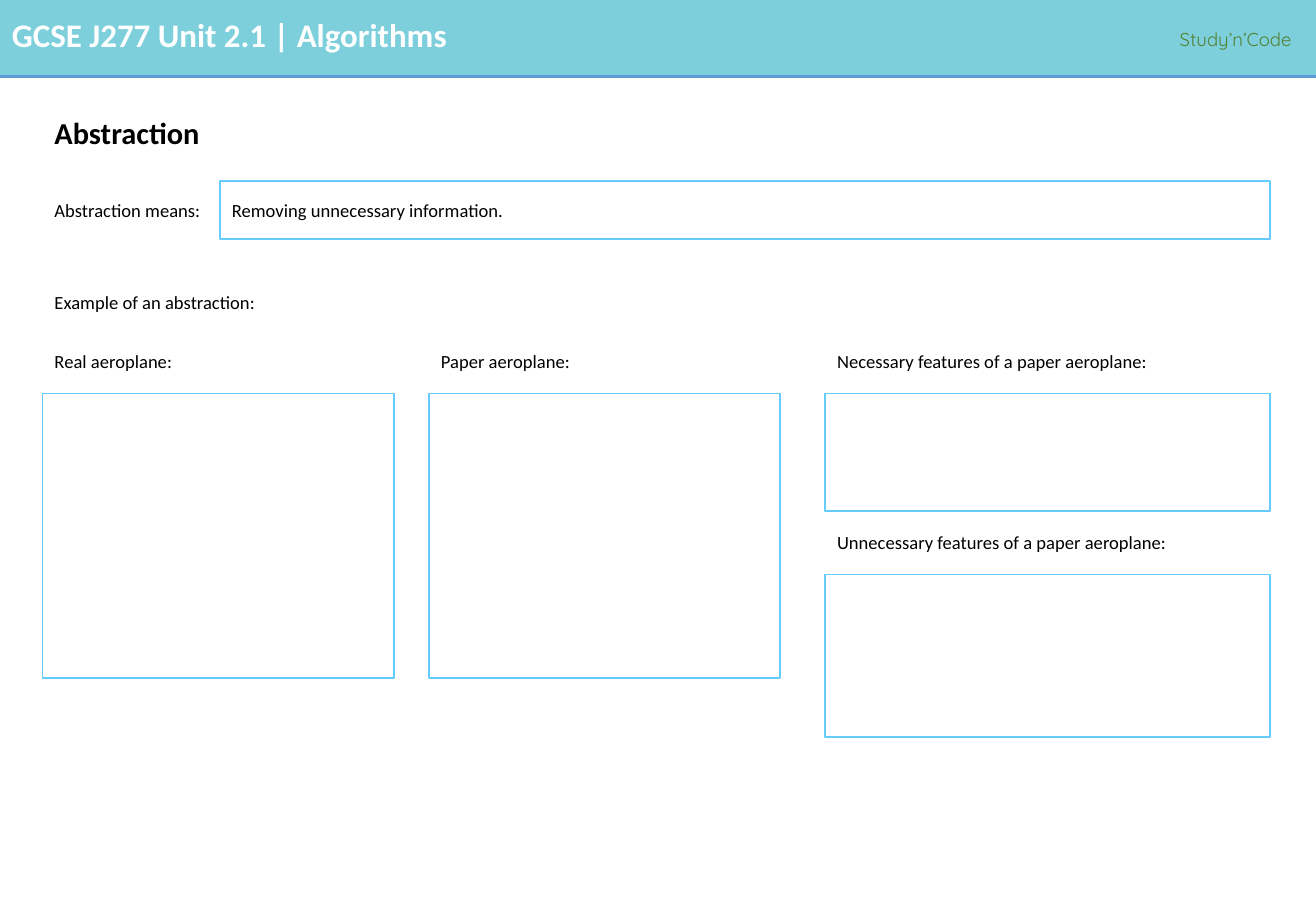
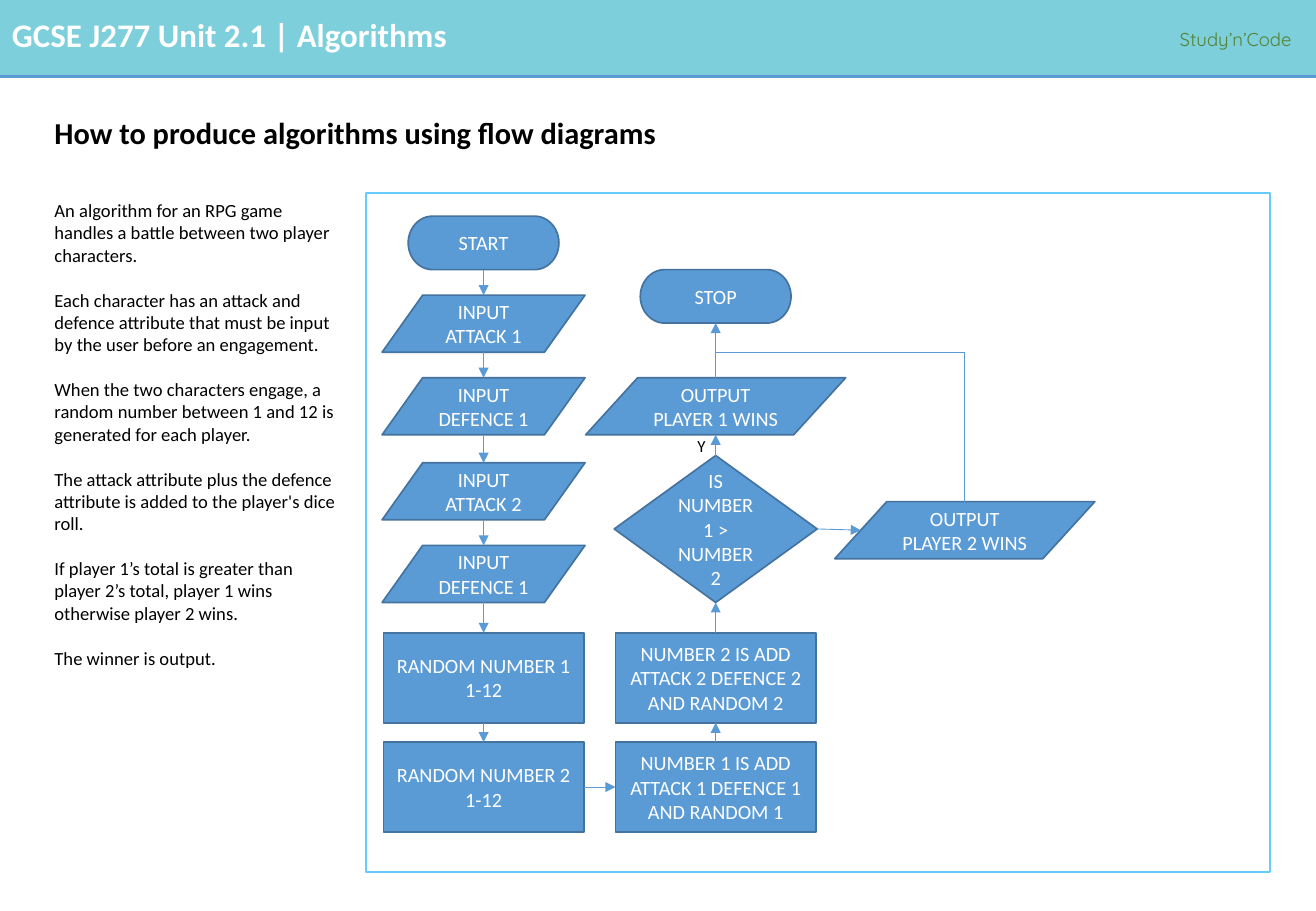
import pptx
import pptx.util
import pptx.dml.color
import pptx.enum.shapes
import pptx.enum.text
import pptx.oxml
import pptx.oxml.ns
from dataclasses import dataclass

Inches, Pt = pptx.util.Inches, pptx.util.Pt
SHAPE = pptx.enum.shapes.MSO_SHAPE
ALIGN = pptx.enum.text.PP_ALIGN
ANCHOR = pptx.enum.text.MSO_ANCHOR


@dataclass(frozen=True)
class Theme:
    band: str = "7CCFDB"
    accent: str = "5B9BD5"
    outline: str = "43739E"
    frame: str = "66CCFF"
    credit: str = "548235"
    dark: str = "000000"
    light: str = "FFFFFF"
    font: str = "Calibri"
    credit_font: str = "Quicksand"
    header: float = 19.5
    title: float = 18
    node: float = 12
    body: float = 11
    small: float = 10


T = Theme()

# Content shared by the slides
WIDTH, HEIGHT = 10.83, 7.5
LEFT, RIGHT = 0.35, 10.45
BAND_HEIGHT = 0.63
HEADER = "GCSE J277 Unit 2.1 | Algorithms"
CREDIT = "Study’n’Code"

# Content of the abstraction slide
ABSTRACTION_TITLE = "Abstraction"
MEANS = ("Abstraction means:", "Removing unnecessary information.")
EXAMPLE = "Example of an abstraction:"
LABEL_HEIGHT, LABEL_RISE = 0.29, 0.41
ANSWERS = [  # label, left, top, width, height of the answer frame
    ("Real aeroplane:", LEFT, 3.24, 2.89, 2.34),
    ("Paper aeroplane:", 3.53, 3.24, 2.89, 2.34),
    ("Necessary features of a paper aeroplane:", 6.79, 3.24, 3.66, 0.97),
    ("Unnecessary features of a paper aeroplane:", 6.79, 4.73, 3.66, 1.34),
]

# Content of the flow diagram slide
FLOW_TITLE = "How to produce algorithms using flow diagrams"
STORY = [
    "An algorithm for an RPG game handles a battle between two player characters.",
    "Each character has an attack and defence attribute that must be input by the "
    "user before an engagement.",
    "When the two characters engage, a random number between 1 and 12 is generated "
    "for each player.",
    "The attack attribute plus the defence attribute is added to the player's dice roll.",
    "If player 1’s total is greater than player 2’s total, player 1 wins otherwise "
    "player 2 wins.",
    "The winner is output.",
]
KINDS = {  # preset, width, height
    "end": (SHAPE.FLOWCHART_TERMINATOR, 1.24, 0.44),
    "input": (SHAPE.FLOWCHART_DATA, 1.67, 0.47),
    "output": (SHAPE.FLOWCHART_DATA, 2.14, 0.47),
    "process": (SHAPE.FLOWCHART_PROCESS, 1.65, 0.74),
    "decision": (SHAPE.FLOWCHART_DECISION, 1.67, 1.21),
}
COLUMNS = (3.98, 5.89, 7.94)  # centres
NODES = {  # kind, column, top, text
    "start": ("end", 0, 1.78, "START"),
    "attack 1": ("input", 0, 2.43, "INPUT ATTACK 1"),
    "defence 1": ("input", 0, 3.11, "INPUT DEFENCE 1"),
    "attack 2": ("input", 0, 3.81, "INPUT ATTACK 2"),
    "defence 2": ("input", 0, 4.49, "INPUT DEFENCE 1"),
    "random 1": ("process", 0, 5.21, "RANDOM NUMBER 1 1-12"),
    "random 2": ("process", 0, 6.11, "RANDOM NUMBER 2 1-12"),
    "number 1": ("process", 1, 6.11, "NUMBER 1 IS ADD ATTACK 1 DEFENCE 1 AND RANDOM 1"),
    "number 2": ("process", 1, 5.21, "NUMBER 2 IS ADD ATTACK 2 DEFENCE 2 AND RANDOM 2"),
    "compare": ("decision", 1, 3.75, "IS NUMBER 1 > NUMBER 2"),
    "player 1": ("output", 1, 3.11, "OUTPUT\nPLAYER 1 WINS"),
    "stop": ("end", 1, 2.22, "STOP"),
    "player 2": ("output", 2, 4.13, "OUTPUT\nPLAYER 2 WINS"),
}
TOP, WEST, BOTTOM, EAST = range(4)
MAIN_PATH = list(NODES)[:-1]
TURN = ("random 2", "number 1")  # the step from the first column to the second
MERGE_Y = 2.9


# Helpers
def rgb(value):
    return pptx.dml.color.RGBColor.from_string(value)


def write(tf, paragraphs, size=T.body, color=T.dark, font=T.font, bold=False,
          align=ALIGN.LEFT, anchor=ANCHOR.TOP, line=None, before=0, wrap=True):
    tf.word_wrap = wrap
    tf.vertical_anchor = anchor
    for i, content in enumerate(paragraphs):
        p = tf.add_paragraph() if i else tf.paragraphs[0]
        p.text = content
        p.alignment = align
        if line:
            p.line_spacing = line
        if i and before:
            p.space_before = Pt(before)
        for r in p.runs:
            f = r.font
            f.name, f.size, f.bold = font, Pt(size), bold
            f.color.rgb = rgb(color)


def add_text(s, at, *paragraphs, **style):
    tb = s.shapes.add_textbox(*map(Inches, at))
    write(tb.text_frame, paragraphs, **style)


def add_box(s, at, preset=SHAPE.RECTANGLE, fill=None, line=None):
    sp = s.shapes.add_shape(preset, *map(Inches, at))
    sp.shadow.inherit = False
    if fill:
        sp.fill.solid()
        sp.fill.fore_color.rgb = rgb(fill)
    else:
        sp.fill.background()
    if line:
        sp.line.color.rgb = rgb(line)
        sp.line.width = Pt(1)
    else:
        sp.line.fill.background()
    return sp


def add_line(s, start, end, width=0.5, arrow=False):
    cx = s.shapes.add_connector(pptx.enum.shapes.MSO_CONNECTOR.STRAIGHT,
                                *map(Inches, (*start, *end)))
    cx.line.color.rgb = rgb(T.accent)
    cx.line.width = Pt(width)
    if arrow:
        tail = pptx.oxml.parse_xml(
            '<a:tailEnd %s type="triangle"/>' % pptx.oxml.ns.nsdecls("a"))
        cx.line._get_or_add_ln().append(tail)
    cx._element.spPr.append(
        pptx.oxml.parse_xml("<a:effectLst %s/>" % pptx.oxml.ns.nsdecls("a")))
    return cx


def add_slide(prs, title):
    s = prs.slides.add_slide(prs.slide_layouts[6])
    add_box(s, (0, 0, WIDTH, BAND_HEIGHT), fill=T.band)
    add_line(s, (0, BAND_HEIGHT), (WIDTH, BAND_HEIGHT), width=2.25)
    add_text(s, (0, 0.07, 9.48, 0.43), HEADER, size=T.header, color=T.light, bold=True)
    add_text(s, (9.61, 0.17, 1.22, 0.29), CREDIT, color=T.credit,
             font=T.credit_font, line=1.07, wrap=False)
    add_text(s, (LEFT, 0.83, RIGHT - LEFT, 0.56), title, size=T.title, bold=True,
             anchor=ANCHOR.MIDDLE, line=0.9)
    return s


def node_box(name):
    kind, column, top, _ = NODES[name]
    _, width, height = KINDS[kind]
    return COLUMNS[column] - width / 2, top, width, height


def side_point(name, side):
    x, y, w, h = node_box(name)
    slant = w / 10 if NODES[name][0] in ("input", "output") else 0
    return {TOP: (x + w / 2, y), BOTTOM: (x + w / 2, y + h),
            WEST: (x + slant, y + h / 2), EAST: (x + w - slant, y + h / 2)}[side]


# Slides
def abstraction_slide(prs):
    s = add_slide(prs, ABSTRACTION_TITLE)
    label, meaning = MEANS
    add_text(s, (LEFT, 1.59, 1.46, LABEL_HEIGHT), label)
    sp = add_box(s, (1.81, 1.49, RIGHT - 1.81, 0.48), line=T.frame)
    write(sp.text_frame, [meaning], anchor=ANCHOR.MIDDLE)
    add_text(s, (LEFT, 2.35, 2.35, LABEL_HEIGHT), EXAMPLE)
    for label, x, y, w, h in ANSWERS:
        add_box(s, (x, y, w, h), line=T.frame)
        add_text(s, (x, y - LABEL_RISE, w, LABEL_HEIGHT), label)


def flow_slide(prs):
    s = add_slide(prs, FLOW_TITLE)
    add_text(s, (LEFT, 1.59, 2.53, 3.99), *STORY, before=13.4)
    add_box(s, (3.01, 1.59, RIGHT - 3.01, 5.59), line=T.frame)

    # Nodes
    shapes = {}
    for name, (kind, _, _, label) in NODES.items():
        sp = add_box(s, node_box(name), KINDS[kind][0], T.accent, T.outline)
        write(sp.text_frame, [label], size=T.node, color=T.light,
              align=ALIGN.CENTER, anchor=ANCHOR.MIDDLE)
        shapes[name] = sp

    # Arrows: down the first column, up the second, then the "no" branch
    links = []
    for a, b in zip(MAIN_PATH, MAIN_PATH[1:]):
        if (a, b) == TURN:
            sides = EAST, WEST
        else:
            sides = (TOP, BOTTOM) if NODES[a][1] else (BOTTOM, TOP)
        links.append((a, sides[0], b, sides[1]))
    links.append(("compare", EAST, "player 2", WEST))
    for a, a_side, b, b_side in links:
        cx = add_line(s, side_point(a, a_side), side_point(b, b_side), arrow=True)
        # Slanted shapes number their connection sites differently
        if shapes[a].auto_shape_type != SHAPE.FLOWCHART_DATA:
            cx.begin_connect(shapes[a], a_side)
        if shapes[b].auto_shape_type != SHAPE.FLOWCHART_DATA:
            cx.end_connect(shapes[b], b_side)

    # Return line to the stop arrow
    corner = (COLUMNS[2], MERGE_Y)
    add_line(s, side_point("player 2", TOP), corner)
    add_line(s, corner, (COLUMNS[1], MERGE_Y))
    add_text(s, (5.64, 3.54, 0.99, 0.27), "Y", size=T.small)


def main():
    prs = pptx.Presentation()
    prs.slide_width, prs.slide_height = Inches(WIDTH), Inches(HEIGHT)
    abstraction_slide(prs)
    flow_slide(prs)
    prs.save("out.pptx")


if __name__ == "__main__":
    main()
